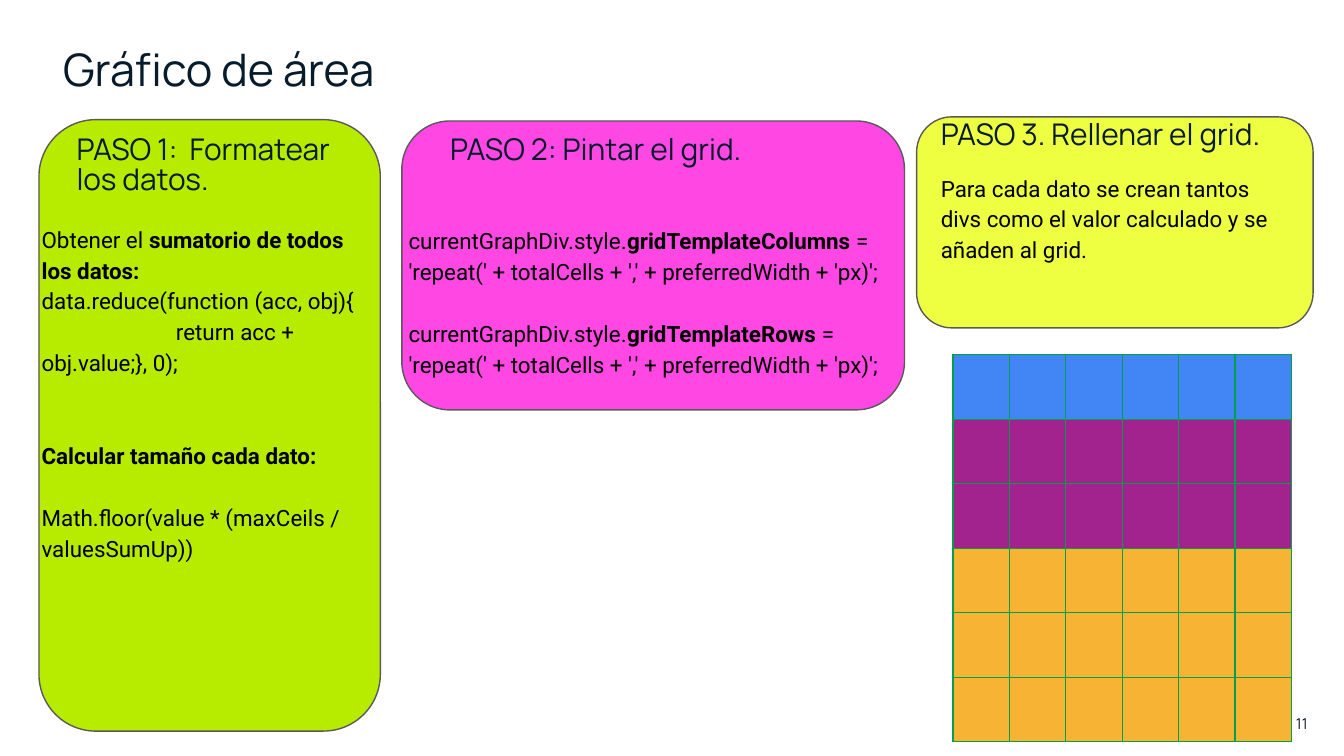
import pptx
import pptx.util
import pptx.dml.color
import pptx.enum.shapes
import pptx.enum.text
import pptx.oxml

RGBColor = pptx.dml.color.RGBColor
ALIGN = pptx.enum.text.PP_ALIGN
ANCHOR = pptx.enum.text.MSO_ANCHOR
NAMESPACE = 'xmlns:a="http://schemas.openxmlformats.org/drawingml/2006/main"'

NAVY = RGBColor(0x06, 0x1B, 0x2B)
BLACK = RGBColor(0, 0, 0)
GRAY = RGBColor(0x59, 0x59, 0x59)
YELLOW = RGBColor(0xEE, 0xFF, 0x41)
PINK = RGBColor(0xFF, 0x47, 0xE3)
LIME = RGBColor(0xB7, 0xEB, 0x00)
BLUE = RGBColor(0x42, 0x85, 0xF4)
PURPLE = RGBColor(0xA3, 0x23, 0x8E)
ORANGE = RGBColor(0xF7, 0xB3, 0x34)
GREEN = RGBColor(0x00, 0x9F, 0x4C)

WIDTH = 10
HEIGHT = WIDTH * 9 / 16
LINE = 16.6
REPEAT = "= 'repeat(' + totalCells + ',' + preferredWidth + 'px)';"

TITLE = "Gráfico de área"
PAGE_NUMBER = "11"
STEPS = [
    {
        "color": YELLOW,
        "card": (6.82, 0.87, 2.95, 1.57),
        "heading": "PASO 3. Rellenar el grid.",
        "heading_box": (7, 0.9, 2.79, 0.75),
        "body_box": (7, 1.27, 2.62, 2.34),
        "body": [(0, [("Para cada dato se crean tantos divs como el valor "
                       "calculado y se añaden al grid.", False)])],
    },
    {
        "color": PINK,
        "card": (2.99, 0.9, 3.74, 2.15),
        "heading": "PASO 2: Pintar el grid.",
        "heading_box": (3.35, 1.01, 2.31, 0.75),
        "body_box": (3.04, 1.66, 3.74, 1.98),
        "body": [
            (0, [("currentGraphDiv.style.", False), ("gridTemplateColumns ", True), (REPEAT, False)]),
            (1, [("currentGraphDiv.style.", False), ("gridTemplateRows ", True), (REPEAT, False)]),
        ],
    },
    {
        "color": LIME,
        "card": (0.29, 0.89, 2.54, 4.55),
        "heading": "PASO 1:  Formatear los datos.",
        "heading_box": (0.57, 1.01, 2.07, 0.75),
        "body_box": (0.31, 1.65, 2.43, 3.52),
        "body": [
            (0, [("Obtener el ", False), ("sumatorio de todos los datos:", True)]),
            (0, [("data.reduce(function (acc, obj){", False)]),
            (0, [("\treturn acc + obj.value;}, 0);", False)]),
            (2, [("Calcular tamaño cada dato:", True)]),
            (1, [("Math.floor(value * (maxCeils / valuesSumUp))", False)]),
        ],
    },
]
GRID_ORIGIN = (7.09, 2.64)
GRID_COLUMNS = 6
CELL_WIDTH, CELL_HEIGHT = 0.42, 0.48
ROW_COLORS = [BLUE] + 2 * [PURPLE] + 3 * [ORANGE]


def inches(*lengths):
    return [pptx.util.Inches(length) for length in lengths]


def add_tab_stop(paragraph, position):
    paragraph._p.get_or_add_pPr().append(pptx.oxml.parse_xml(
        f'<a:tabLst {NAMESPACE}><a:tab pos="{pptx.util.Inches(position)}" algn="l"/></a:tabLst>'))


def write(shape, text, font="Manrope", size=16, color=NAVY, spacing=0.85,
          align=ALIGN.LEFT, anchor=ANCHOR.TOP):
    paragraphs = [(0, [(text, False)])] if isinstance(text, str) else text
    frame = shape.text_frame
    frame.word_wrap = True
    frame.auto_size = pptx.enum.text.MSO_AUTO_SIZE.NONE
    frame.vertical_anchor = anchor
    frame.margin_left = frame.margin_right = frame.margin_top = frame.margin_bottom = 0
    for index, (gap, runs) in enumerate(paragraphs):
        paragraph = frame.add_paragraph() if index else frame.paragraphs[0]
        paragraph.alignment = align
        paragraph.line_spacing = spacing
        paragraph.space_before = pptx.util.Pt(gap * LINE)
        if runs[0][0].startswith("\t"):
            add_tab_stop(paragraph, 1)
        for run_text, bold in runs:
            run = paragraph.add_run()
            run.text = run_text
            run.font.name = font
            run.font.size = pptx.util.Pt(size)
            run.font.bold = bold
            run.font.color.rgb = color


def add_text(slide, box, text, **style):
    write(slide.shapes.add_textbox(*inches(*box)), text, **style)


def add_card(slide, box, color):
    card = slide.shapes.add_shape(pptx.enum.shapes.MSO_SHAPE.ROUNDED_RECTANGLE, *inches(*box))
    card.shadow.inherit = False
    card.fill.solid()
    card.fill.fore_color.rgb = color
    card.line.color.rgb = GRAY
    card.line.width = pptx.util.Pt(0.75)


def add_borders(cell, color):
    properties = cell._tc.get_or_add_tcPr()
    for side in "LRTB":
        properties.append(pptx.oxml.parse_xml(
            f'<a:ln{side} {NAMESPACE} w="{pptx.util.Pt(0.75)}">'
            f'<a:solidFill><a:srgbClr val="{color}"/></a:solidFill></a:ln{side}>'))


def add_area_grid(slide):
    size = (GRID_COLUMNS * CELL_WIDTH, len(ROW_COLORS) * CELL_HEIGHT)
    table = slide.shapes.add_table(
        len(ROW_COLORS), GRID_COLUMNS, *inches(*GRID_ORIGIN, *size)).table
    table.first_row = table.horz_banding = False
    for row, color in zip(table.rows, ROW_COLORS):
        for cell in row.cells:
            add_borders(cell, GREEN)
            cell.fill.solid()
            cell.fill.fore_color.rgb = color


def main():
    presentation = pptx.Presentation()
    presentation.slide_width, presentation.slide_height = inches(WIDTH, HEIGHT)
    slide = presentation.slides.add_slide(presentation.slide_layouts[5])
    title = slide.shapes.title
    title.left, title.top, title.width, title.height = inches(0.47, 0.37, 8.87, 0.43)
    write(title, TITLE, size=24)
    for step in STEPS:
        add_card(slide, step["card"], step["color"])
    for step in STEPS:
        add_text(slide, step["heading_box"], step["heading"])
        add_text(slide, step["body_box"], step["body"],
                 font="Roboto", size=12, color=BLACK, spacing=1.15)
    add_area_grid(slide)
    add_text(slide, (9.46, 5.32, 0.27, 0.13), PAGE_NUMBER, size=8, spacing=1,
             align=ALIGN.RIGHT, anchor=ANCHOR.MIDDLE)
    presentation.save("out.pptx")


if __name__ == "__main__":
    main()
